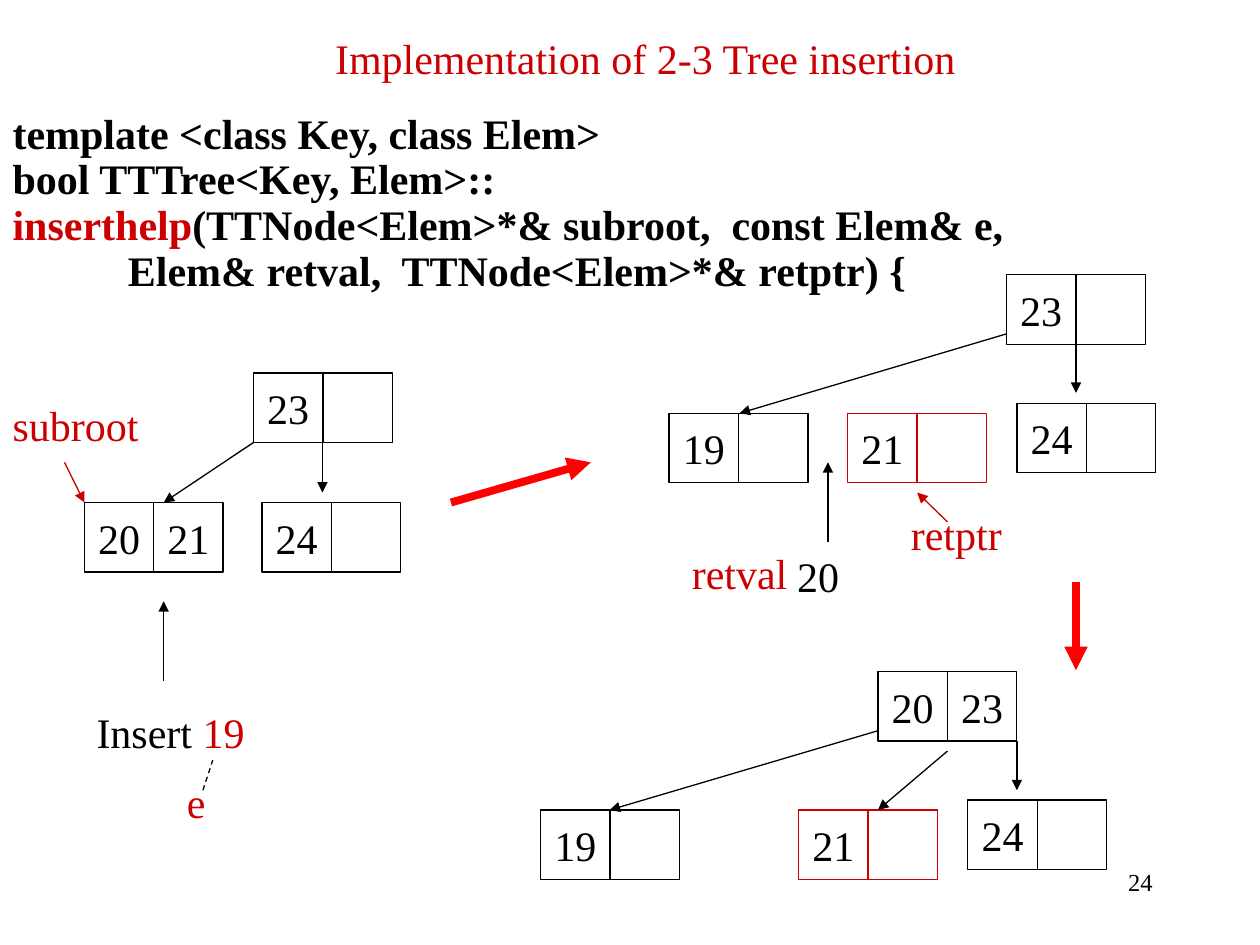
from lxml import etree
from pptx import Presentation
from pptx import util as u
from pptx.dml.color import RGBColor
from pptx.enum import dml, shapes, text
from pptx.oxml import ns

FONT = "Times New Roman"
COLORS = {"black": "000000", "crimson": "CC0000", "red": "FF0000"}
CELL = 1.4
LABEL_HEIGHT = 1.27

NODES = [
    (5.11, 7.52, "23", "", "black"),
    (1.7, 10.13, "20", "21", "black"),
    (5.28, 10.13, "24", "", "black"),
    (20.29, 5.54, "23", "", "black"),
    (13.49, 8.33, "19", "", "black"),
    (17.09, 8.33, "21", "", "crimson"),
    (20.5, 8.13, "24", "", "black"),
    (17.7, 13.54, "20", "23", "black"),
    (10.9, 16.33, "19", "", "black"),
    (16.1, 16.33, "21", "", "crimson"),
    (19.51, 16.13, "24", "", "black"),
]
POINTERS = [
    (5.11, 8.92, 3.3, 10.13),
    (6.5, 8.92, 6.5, 9.93),
    (3.3, 13.72, 3.3, 12.12),
    (20.29, 6.73, 14.91, 8.33),
    (21.69, 6.93, 21.69, 7.92),
    (16.69, 10.92, 16.69, 9.32),
    (17.7, 14.73, 12.29, 16.33),
    (20.5, 14.94, 20.5, 15.93),
    (19.1, 15.14, 17.7, 16.33),
]
STEPS = [(9.09, 10.13, 11.91, 9.32), (21.69, 11.73, 21.69, 13.51)]
VARIABLE_POINTERS = [(1.3, 9.32, 1.7, 10.13), (19.1, 10.52, 18.49, 9.93)]
LABELS = [
    (1.44, 14.12, 4, [("Insert ", "black"), ("19", "crimson")]),
    (15.82, 10.97, 1.35, [("20", "black")]),
    (0, 7.92, 3.05, [("subroot", "crimson")]),
    (18.11, 10.13, 2.34, [("retptr", "crimson")]),
    (13.69, 10.92, 2.44, [("retval", "crimson")]),
    (3.51, 15.52, 0.89, [("e", "crimson")]),
]
SIGNATURE = [
    [("template <class Key, class Elem>", "black")],
    [("bool TTTree<Key, Elem>::", "black")],
    [("inserthelp", "crimson"),
     ("(TTNode<Elem>*& subroot,  const Elem& e,", "black")],
    [("           Elem& retval,  TTNode<Elem>*& retptr) {", "black")],
]


def rgb(name):
    return RGBColor.from_string(COLORS[name])


def place(sp, x, y, w, h):
    sp.left, sp.top, sp.width, sp.height = map(u.Cm, (x, y, w, h))


def add_runs(p, runs, size=24, bold=False):
    for words, color in runs:
        r = p.add_run()
        r.text = words
        r.font.name = FONT
        r.font.size = u.Pt(size)
        r.font.bold = bold
        r.font.color.rgb = rgb(color)


def fill_text(sp, runs, size=24, align=text.PP_ALIGN.CENTER,
              anchor=text.MSO_ANCHOR.TOP):
    tf = sp.text_frame
    tf.word_wrap = False
    tf.vertical_anchor = anchor
    p = tf.paragraphs[0]
    p.alignment = align
    add_runs(p, runs, size)


def add_title(s):
    sp = s.shapes.title
    place(sp, 6.48, 0.53, 13.06, LABEL_HEIGHT)
    fill_text(sp, [("Implementation of 2-3 Tree insertion", "crimson")])


def add_signature(s):
    sp = s.placeholders[1]
    place(sp, 0, 2.31, 25.4, 16.74)
    tf = sp.text_frame
    tf.auto_size = text.MSO_AUTO_SIZE.NONE
    for i, runs in enumerate(SIGNATURE):
        p = tf.add_paragraph() if i else tf.paragraphs[0]
        props = p._p.get_or_add_pPr()
        props.set("marL", str(u.Cm(0.95)))
        props.set("indent", str(u.Cm(-0.95)))
        etree.SubElement(props, ns.qn("a:buNone"))
        p.line_spacing = 0.7
        p.space_before = u.Pt(6 if i else 0)
        add_runs(p, runs, bold=True)


def add_label(s, x, y, w, runs, **style):
    sp = s.shapes.add_textbox(*map(u.Cm, (x, y, w, LABEL_HEIGHT)))
    fill_text(sp, runs, **style)


def add_node(s, x, y, left_key, right_key, color):
    for i, key in enumerate((left_key, right_key)):
        sp = s.shapes.add_shape(
            shapes.MSO_SHAPE.RECTANGLE,
            *map(u.Cm, (x + i * CELL, y, CELL, CELL)))
        sp.shadow.inherit = False
        sp.fill.background()
        sp.line.color.rgb = rgb(color)
        sp.line.width = u.Pt(0.75)
        if key:
            fill_text(sp, [(key, "black")], anchor=text.MSO_ANCHOR.MIDDLE)


def add_line(s, ends, color="black", width=0.75, arrow=True):
    sp = s.shapes.add_connector(
        shapes.MSO_CONNECTOR.STRAIGHT, *map(u.Cm, ends))
    sp.line.color.rgb = rgb(color)
    sp.line.width = u.Pt(width)
    if arrow:
        etree.SubElement(sp.line._get_or_add_ln(), ns.qn("a:tailEnd"),
                         type="triangle")
    else:
        sp.line.dash_style = dml.MSO_LINE.DASH
    etree.SubElement(sp._element.spPr, ns.qn("a:effectLst"))


def main():
    prs = Presentation()
    prs.slide_width, prs.slide_height = u.Cm(25.4), u.Cm(19.05)
    s = prs.slides.add_slide(prs.slide_layouts[1])
    add_title(s)
    add_signature(s)
    for node in NODES:
        add_node(s, *node)
    for ends in POINTERS:
        add_line(s, ends)
    for ends in STEPS:
        add_line(s, ends, "red", 4.5)
    for ends in VARIABLE_POINTERS:
        add_line(s, ends, "crimson")
    add_line(s, (4.09, 15.93, 4.29, 15.32), arrow=False)
    for label in LABELS:
        add_label(s, *label)
    add_label(s, 18.21, 17.35, 5.28, [("24", "black")], size=14,
              align=text.PP_ALIGN.RIGHT)
    prs.save("out.pptx")


if __name__ == "__main__":
    main()
